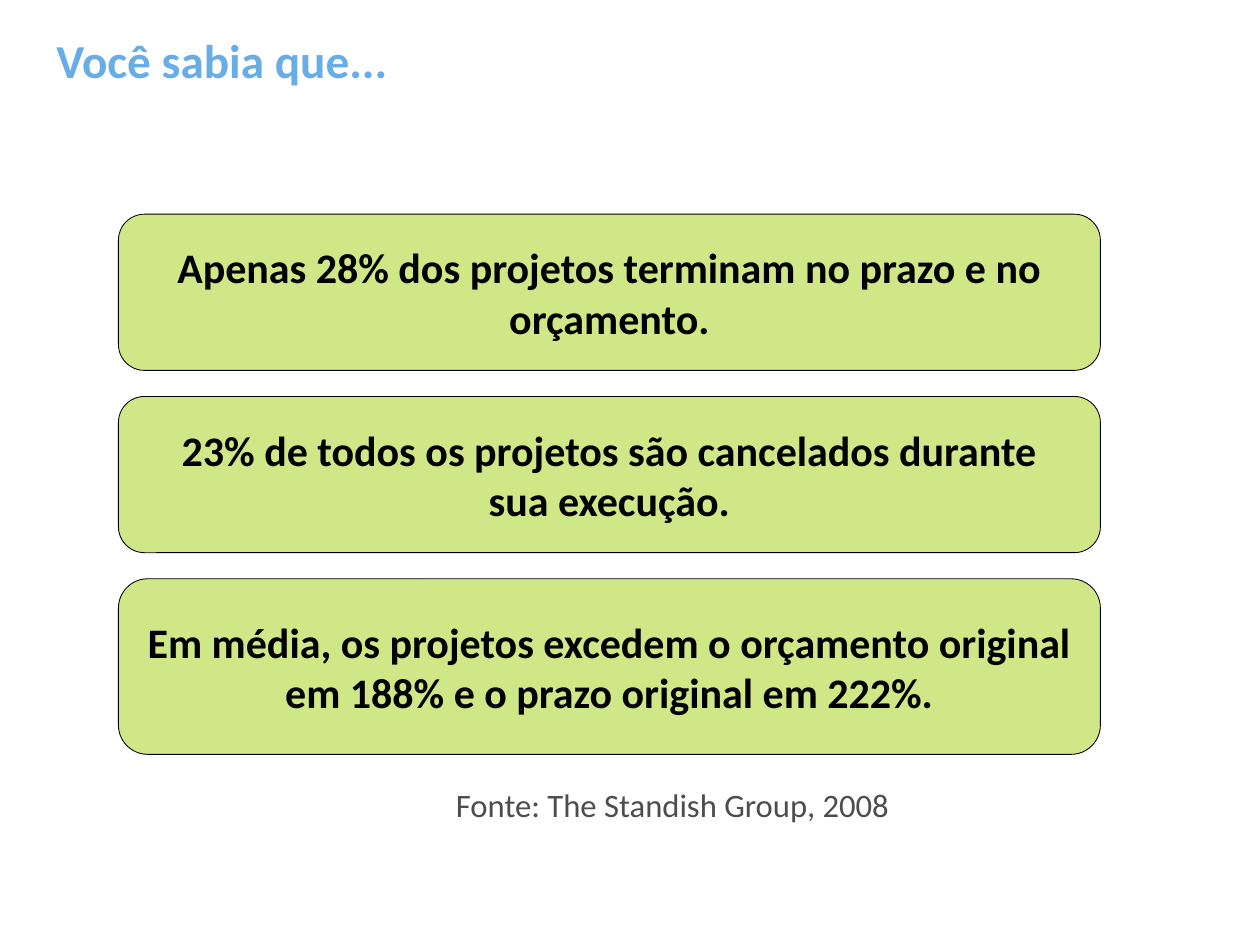
from lxml.etree import SubElement
from pptx import Presentation
from pptx.dml.color import RGBColor
from pptx.enum.shapes import MSO_SHAPE as Shape
from pptx.enum.text import MSO_ANCHOR as Anchor, MSO_AUTO_SIZE as AutoSize, PP_ALIGN as Align
from pptx.oxml.ns import qn
from pptx.util import Inches, Pt

WIDTH, HEIGHT = 15, 11.25
FONT = "Calibri"

TITLE = "Você sabia que..."
# Lines of each fact, and the height of its card
FACTS = [
    (["Apenas 28% dos projetos terminam no prazo e no", "orçamento."], 1.86),
    (["23% de todos os projetos são cancelados durante", "sua execução."], 1.86),
    (["Em média, os projetos excedem o orçamento original",
      "em 188% e o prazo original em 222%."], 2.09),
]
SOURCE = "Fonte: The Standish Group, 2008"

CARD_LEFT, CARD_TOP, CARD_WIDTH, CARD_GAP = 1.41, 2.55, 11.69, 0.31
CARD_OPACITY = 47


def color(value):
    return RGBColor.from_string(value)


def box(left, top, width, height):
    return [Inches(length) for length in (left, top, width, height)]


def write(shape, lines, size, font_color, bold=False, align=Align.CENTER,
          anchor=Anchor.MIDDLE, wrap=True):
    frame = shape.text_frame
    frame.auto_size = AutoSize.NONE
    frame.word_wrap = wrap
    frame.vertical_anchor = anchor
    frame.text = "\n".join(lines)
    for paragraph in frame.paragraphs:
        paragraph.alignment = align
        font = paragraph.font
        font.name, font.size, font.bold = FONT, Pt(size), bold
        font.color.rgb = color(font_color)


def add_card(slide, lines, top, height):
    card = slide.shapes.add_shape(Shape.FLOWCHART_ALTERNATE_PROCESS,
                                  *box(CARD_LEFT, top, CARD_WIDTH, height))
    card.shadow.inherit = False
    card.fill.solid()
    card.fill.fore_color.rgb = color("99CC00")
    fill_color = card.fill._xPr.find(qn("a:solidFill"))[0]
    SubElement(fill_color, qn("a:alpha"), val=str(CARD_OPACITY * 1000))
    card.line.color.rgb = color("000000")
    card.line.width = Pt(0.75)
    write(card, lines, 36, "000000", bold=True, wrap=False)


def main():
    presentation = Presentation()
    presentation.slide_width, presentation.slide_height = Inches(WIDTH), Inches(HEIGHT)
    slide = presentation.slides.add_slide(presentation.slide_layouts[5])

    title = slide.shapes.title
    title.left, title.top, title.width, title.height = box(0.57, 0.35, 10.24, 0.71)
    write(title, [TITLE], 40.5, "69ADE7", bold=True, align=Align.LEFT)

    top = CARD_TOP
    for lines, height in FACTS:
        add_card(slide, lines, top, height)
        top += height + CARD_GAP

    source = slide.shapes.add_textbox(*box(5.2, top, 5.61, 0.57))
    write(source, [SOURCE], 28, "4D4D4D", anchor=Anchor.TOP)

    presentation.save("out.pptx")


if __name__ == "__main__":
    main()
